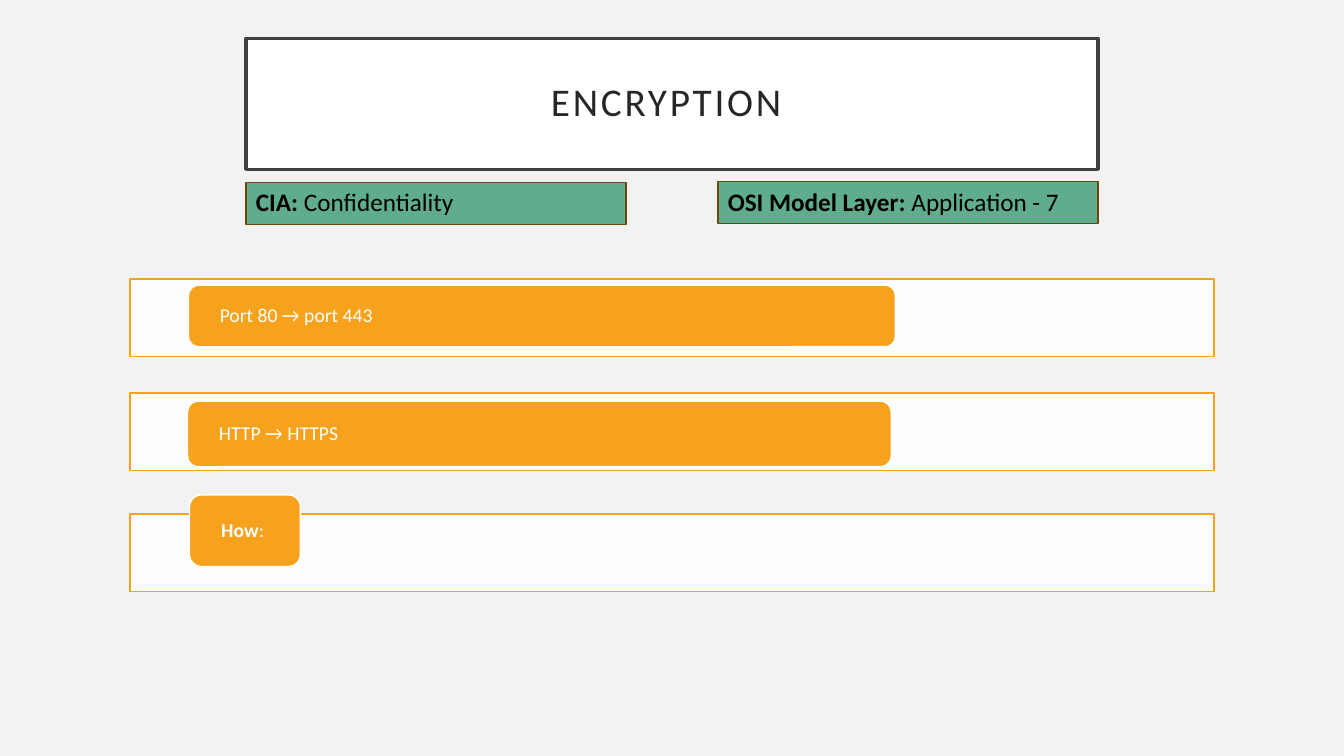
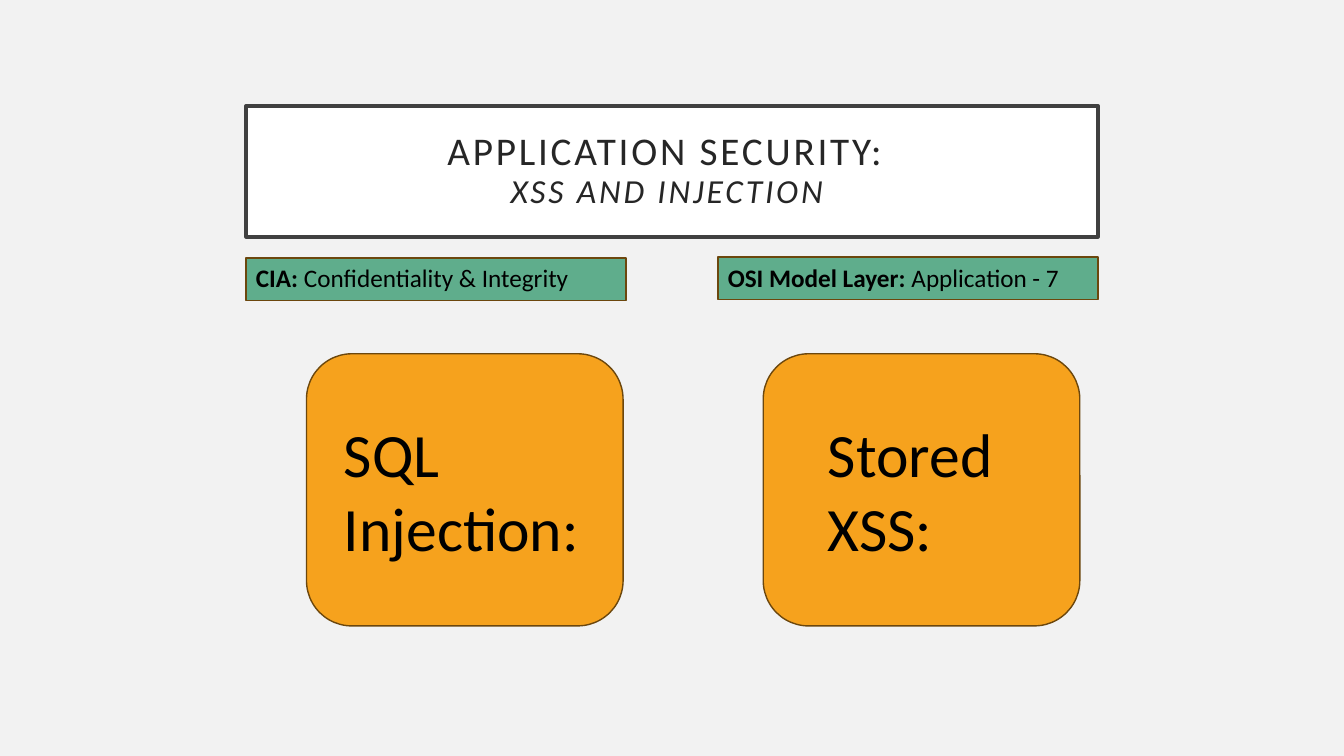
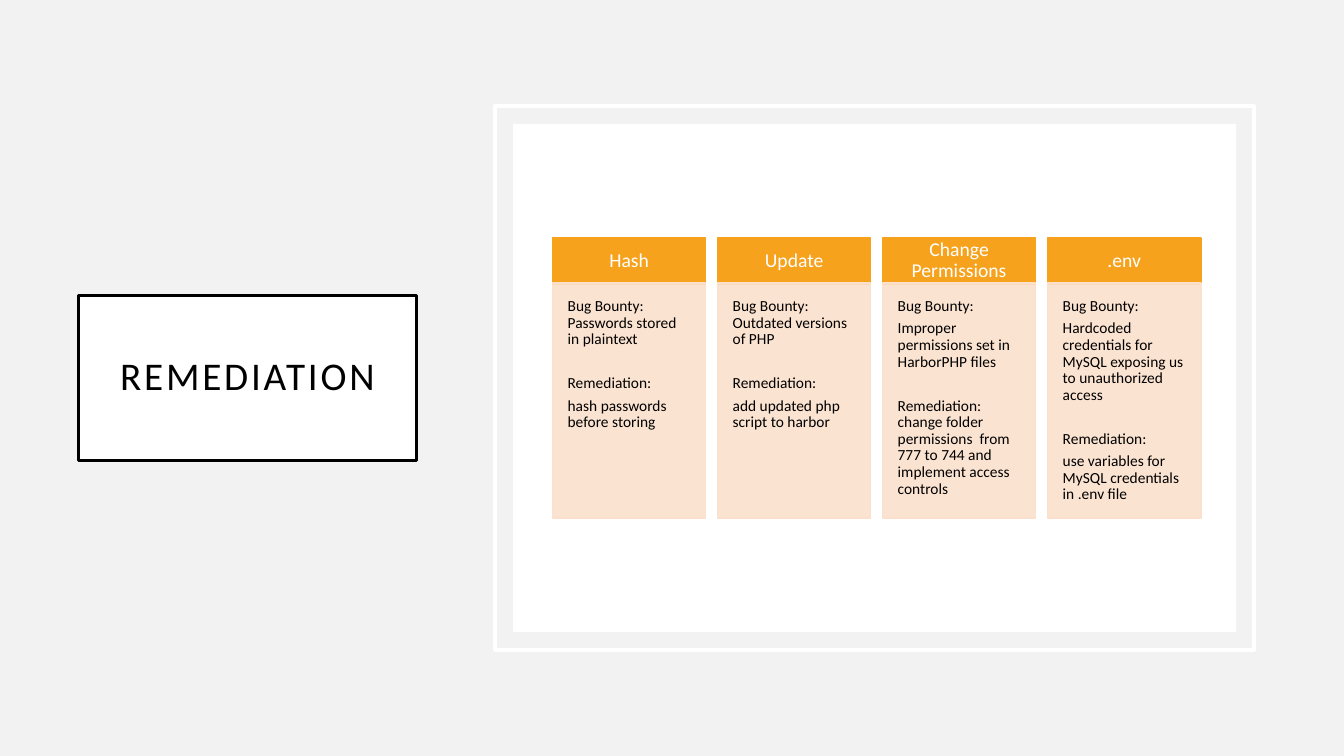
from dataclasses import dataclass
from typing import NamedTuple, Optional, Sequence

import pptx
import pptx.dml.color
import pptx.enum.shapes
import pptx.enum.text
import pptx.oxml.ns
import pptx.util
from lxml import etree
from pptx.util import Inches

COLORS = {
    "page": "F2F2F2",
    "white": "FFFFFF",
    "black": "000000",
    "title_text": "262626",
    "title_frame": "404040",
    "orange": "F6A21D",
    "brown": "6C470D",
    "green": "5FAD8C",
    "peach": "FBE0CD",
}
FONT = "Calibri"
RECT = pptx.enum.shapes.MSO_SHAPE.RECTANGLE
ROUNDED = pptx.enum.shapes.MSO_SHAPE.ROUNDED_RECTANGLE
LEFT = pptx.enum.text.PP_ALIGN.LEFT
CENTER = pptx.enum.text.PP_ALIGN.CENTER
TOP = pptx.enum.text.MSO_ANCHOR.TOP
MIDDLE = pptx.enum.text.MSO_ANCHOR.MIDDLE


class Area(NamedTuple):
    left: float
    top: float
    width: float
    height: float


class Run(NamedTuple):
    text: str
    bold: bool = False
    italic: bool = False
    size: Optional[float] = None
    new_line: bool = False


class Para(NamedTuple):
    runs: Sequence[Run]
    space_after: float = 0


@dataclass
class Step:
    """A white band with an orange label on it."""
    band_top: float
    label: Area
    runs: Sequence[Run]


@dataclass
class Attack:
    name: str
    left: float
    text_inset: float


@dataclass
class Fix:
    heading: str
    bounty: Sequence[str]
    remediation: Sequence[str]


STEPS = [
    Step(2.77, Area(1.87, 2.83, 7.01, 0.61), [Run("Port 80 → port 443")]),
    Step(3.9, Area(1.86, 3.98, 6.98, 0.65), [Run("HTTP → HTTPS")]),
    Step(5.1, Area(1.88, 4.91, 1.1, 0.71), [Run("How", bold=True), Run(":")]),
]
ATTACKS = [Attack("SQL Injection:", 3.04, 0.24), Attack("Stored XSS:", 7.57, 0.51)]
FIXES = [
    Fix("Hash",
        ["Bug Bounty: Passwords stored in plaintext"],
        ["Remediation:", "hash passwords before storing"]),
    Fix("Update",
        ["Bug Bounty: Outdated versions of PHP"],
        ["Remediation:", "add updated php script to harbor"]),
    Fix("Change Permissions",
        ["Bug Bounty:", "Improper permissions set in HarborPHP files"],
        ["Remediation: change folder permissions  from 777 to 744 "
         "and implement access controls"]),
    Fix(".env",
        ["Bug Bounty:",
         "Hardcoded credentials for MySQL exposing us to unauthorized access"],
        ["Remediation:", "use variables for MySQL credentials in .env file"]),
]


# Shared drawing functions
def rgb(name: str) -> pptx.dml.color.RGBColor:
    return pptx.dml.color.RGBColor.from_string(COLORS[name])


def add_box(slide, area: Area, *, kind=RECT, fill: Optional[str] = None,
            line: Optional[str] = None, line_width: float = 1,
            opacity: int = 100):
    box = slide.shapes.add_shape(kind, *(Inches(length) for length in area))
    box.shadow.inherit = False
    if fill:
        box.fill.solid()
        box.fill.fore_color.rgb = rgb(fill)
        if opacity < 100:
            tint = box.fill._xPr.find(".//" + pptx.oxml.ns.qn("a:srgbClr"))
            etree.SubElement(tint, pptx.oxml.ns.qn("a:alpha"), val=str(opacity * 1000))
    else:
        box.fill.background()
    if line:
        box.line.color.rgb = rgb(line)
        box.line.width = pptx.util.Pt(line_width)
    else:
        box.line.fill.background()
    return box


def write(box, paras: Sequence[Para], *, size: float, color: str = "black",
          align=LEFT, anchor=MIDDLE, insets=(0.1, 0.05, 0.1, 0.05),
          line_spacing: float = 1.0, tracking: float = 0) -> None:
    frame = box.text_frame
    frame.word_wrap = True
    frame.vertical_anchor = anchor
    (frame.margin_left, frame.margin_top,
     frame.margin_right, frame.margin_bottom) = (Inches(inset) for inset in insets)
    for index, para in enumerate(paras):
        paragraph = frame.add_paragraph() if index else frame.paragraphs[0]
        paragraph.alignment = align
        paragraph.line_spacing = line_spacing
        paragraph.space_after = pptx.util.Pt(para.space_after)
        for part in para.runs:
            if part.new_line:
                paragraph.add_line_break()
            run = paragraph.add_run()
            run.text = part.text
            run.font.name = FONT
            run.font.size = pptx.util.Pt(part.size or size)
            run.font.bold = part.bold
            run.font.italic = part.italic
            run.font.color.rgb = rgb(color)
            if tracking:
                run.font._element.set("spc", str(int(tracking * 100)))


def add_title(slide, area: Area, runs: Sequence[Run], *,
              color: str = "title_text", frame: str = "title_frame") -> None:
    title = add_box(slide, area, fill="white", line=frame, line_width=2.5)
    write(title, [Para(runs)], size=28, color=color, align=CENTER,
          insets=(0.2,) * 4, line_spacing=0.9, tracking=2)


def add_tags(slide, top: float, cia: str) -> None:
    """Green tags under the title: CIA goal and OSI layer."""
    for left, drop, label, value in (
            (2.44, 0.01, "CIA: ", cia),
            (7.12, 0, "OSI Model Layer: ", "Application - 7")):
        tag = add_box(slide, Area(left, top + drop, 3.77, 0.42),
                      fill="green", line="brown")
        write(tag, [Para([Run(label, bold=True), Run(value)])], size=18,
              anchor=TOP, insets=(0.1, 0.05 - drop, 0.1, 0))


def add_slide(deck):
    slide = deck.slides.add_slide(deck.slide_layouts[6])
    slide.background.fill.solid()
    slide.background.fill.fore_color.rgb = rgb("page")
    return slide


# Slides
def build_encryption(deck) -> None:
    slide = add_slide(deck)
    add_title(slide, Area(2.44, 0.38, 8.45, 1.3), [Run("ENCRYPTION ")])
    for step in STEPS:
        add_box(slide, Area(1.29, step.band_top, 10.75, 0.77),
                fill="white", line="orange", opacity=90)
        label = add_box(slide, step.label, kind=ROUNDED, fill="orange", line="white")
        write(label, [Para(step.runs)], size=14, color="white",
              insets=(0.28, 0, 0.28, 0), line_spacing=0.9)
    add_tags(slide, 1.8, "Confidentiality")


def build_application_security(deck) -> None:
    slide = add_slide(deck)
    add_title(slide, Area(2.44, 1.05, 8.45, 1.3), [
        Run("APPLICATION SECURITY: "),
        Run("XSS AND INJECTION ", italic=True, size=24, new_line=True),
    ])
    add_tags(slide, 2.55, "Confidentiality & Integrity")
    for attack in ATTACKS:
        card = add_box(slide, Area(attack.left, 3.51, 3.14, 2.7),
                       kind=ROUNDED, fill="orange", line="brown")
        write(card, [Para([Run(attack.name)])], size=44,
              insets=(attack.text_inset, 0.05, 0.1, 0.05))


def build_remediation(deck) -> None:
    slide = add_slide(deck)
    add_title(slide, Area(0.78, 2.93, 3.35, 1.64), [Run("REMEDIATION")],
              color="black", frame="black")
    # Framed white panel
    add_box(slide, Area(4.91, 1.05, 7.53, 5.4), line="white", line_width=2.5)
    add_box(slide, Area(5.09, 1.23, 7.17, 5.04), fill="white")
    # One column per fix
    first_left, last_left, width = 5.48, 10.39, 1.52
    pitch = (last_left - first_left) / (len(FIXES) - 1)
    after, section_gap = 3.9, 19.6
    for index, fix in enumerate(FIXES):
        left = first_left + index * pitch
        heading = add_box(slide, Area(left, 2.36, width, 0.46),
                          fill="orange", line="orange")
        write(heading, [Para([Run(fix.heading)])], size=14, color="white",
              align=CENTER, insets=(0.12,) * 4, line_spacing=0.9)
        details = add_box(slide, Area(left, 2.81, width, 2.33),
                          fill="peach", line="peach", opacity=90)
        paras = [Para([Run(text)], after) for text in (*fix.bounty, *fix.remediation)]
        last_bounty = len(fix.bounty) - 1
        paras[last_bounty] = paras[last_bounty]._replace(space_after=section_gap)
        write(details, paras, size=11, anchor=TOP, insets=(0.15,) * 4,
              line_spacing=0.9)


def main() -> None:
    deck = pptx.Presentation()
    deck.slide_width = Inches(13.33)
    deck.slide_height = Inches(7.5)
    build_encryption(deck)
    build_application_security(deck)
    build_remediation(deck)
    deck.save("out.pptx")


if __name__ == "__main__":
    main()
